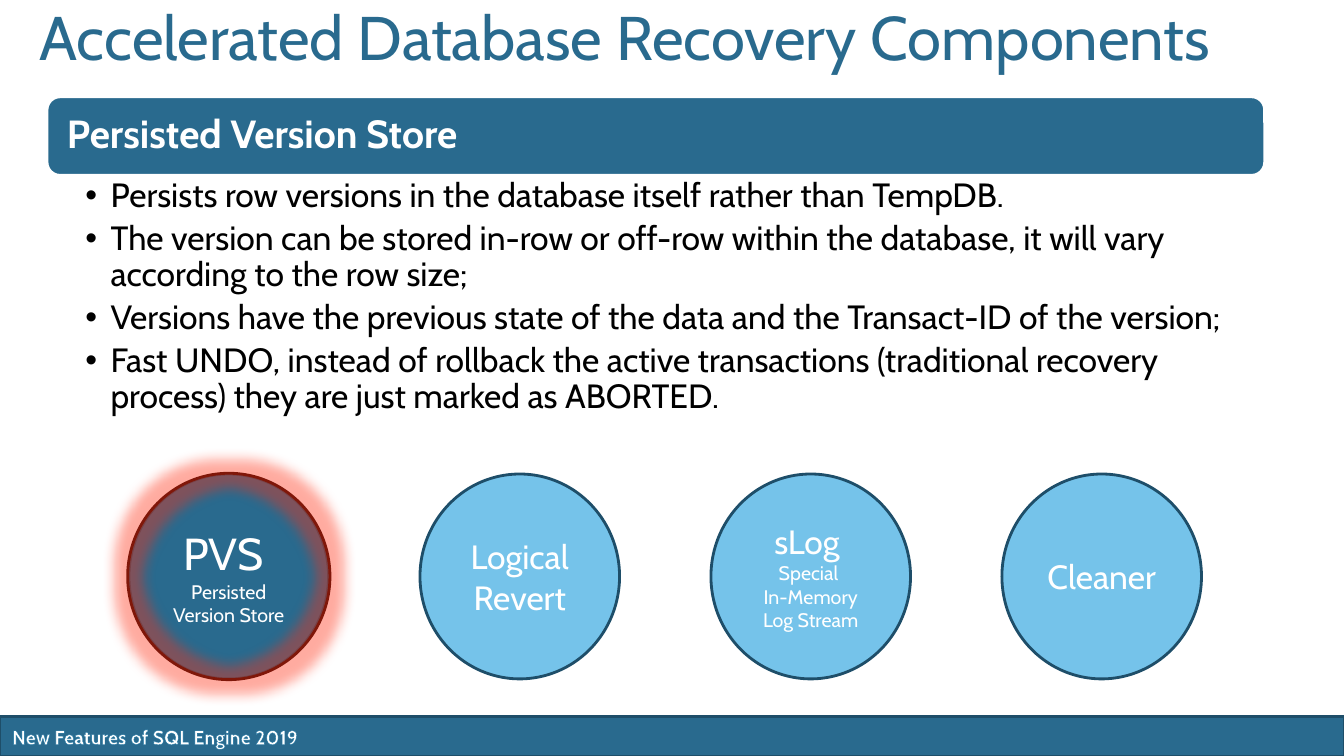
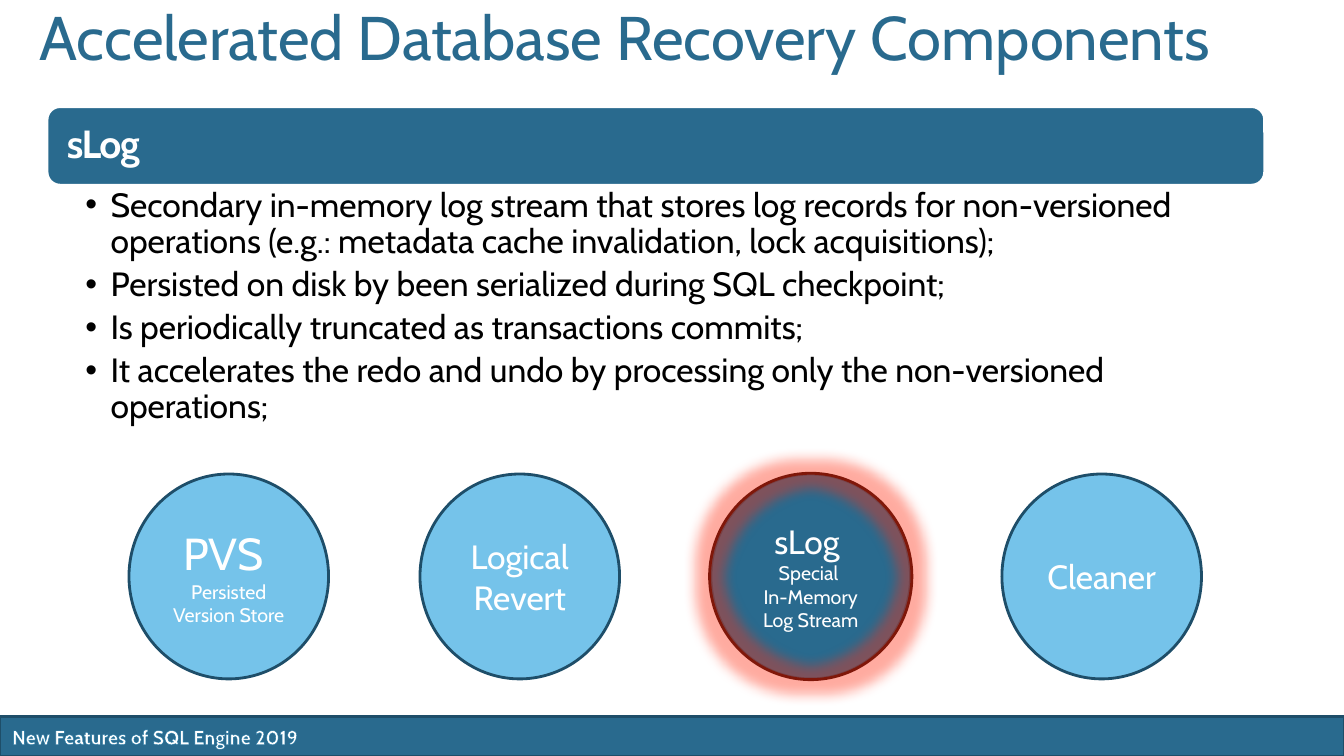
from lxml import etree
from pptx import Presentation
from pptx.dml.color import RGBColor
from pptx.enum.shapes import MSO_SHAPE as Shape
from pptx.enum.text import MSO_ANCHOR as Anchor, MSO_AUTO_SIZE as AutoSize, PP_ALIGN as Align
from pptx.oxml import parse_xml
from pptx.oxml.ns import nsdecls, qn
from pptx.util import Inches, Pt

FONT = "Cabin"
COLORS = {
    "blue": "296A8E", "edge": "1E4E69", "sky": "75C3EA", "white": "FFFFFF",
    "black": "000000", "outline": "1872A0", "ring": "801709", "glow": "FF2E12",
}
TITLE = "Accelerated Database Recovery Components"
FOOTER = "New Features of SQL Engine 2019"

# Each component: lines of text with their sizes
COMPONENTS = [
    [("PVS ", 32), ("Persisted Version Store", 14)],
    [("Logical Revert", 24)],
    [("sLog ", 24), ("Special ", 14), ("In-Memory Log Stream", 14)],
    [("Cleaner", 24)],
]

# Each topic: heading, letter spacing, heading row, active component, bullets
TOPICS = [
    ("Persisted Version Store", 0, 12.8, 0, [
        "Persists row versions in the database itself rather than TempDB.",
        "The version can be stored in-row or off-row within the database, "
        "it will vary according to the row size;",
        "Versions have the previous state of the data and the Transact-ID of the version;",
        "Fast UNDO, instead of rollback the active transactions "
        "(traditional recovery process) they are just marked as ABORTED.",
    ]),
    ("sLog", -1, 14.1, 2, [
        "Secondary in-memory log stream that stores log records for non-versioned "
        "operations (e.g.: metadata cache invalidation, lock acquisitions);",
        "Persisted on disk by been serialized during SQL checkpoint;",
        "Is periodically truncated as transactions commits;",
        "It accelerates the redo and undo by processing only the non-versioned operations;",
    ]),
]

deck = Presentation()
deck.slide_width, deck.slide_height = Inches(13.33), Inches(7.5)
# The slide is a grid of 100 columns by 100 rows
COLUMN, ROW = deck.slide_width / 100, deck.slide_height / 100


def draw(page, kind, left, top, width, height, fill=None, line="edge"):
    shape = page.shapes.add_shape(
        kind, int(left * COLUMN), int(top * ROW), int(width * COLUMN), int(height * ROW))
    shape.shadow.inherit = False
    if fill:
        shape.fill.solid()
        shape.fill.fore_color.rgb = RGBColor.from_string(COLORS[fill])
    else:
        shape.fill.background()
    shape.line.color.rgb = RGBColor.from_string(COLORS[line])
    shape.line.width = Pt(2)
    return shape


def write(shape, lines, color="white", bold=False, align=Align.LEFT, anchor=Anchor.MIDDLE,
          insets=(0.1, 0.05, 0.1, 0.05), leading=1.0, after=0, hanging=0, spacing=0):
    """Fill a shape with (text, size) lines; insets and hanging are inches."""
    frame = shape.text_frame
    frame.word_wrap, frame.auto_size, frame.vertical_anchor = True, AutoSize.NONE, anchor
    (frame.margin_left, frame.margin_top,
     frame.margin_right, frame.margin_bottom) = map(Inches, insets)
    for index, (text, size) in enumerate(lines):
        para = frame.add_paragraph() if index else frame.paragraphs[0]
        para.alignment, para.line_spacing = align, leading
        para.space_before, para.space_after = Pt(0), Pt(after)
        if hanging:
            properties = para._p.get_or_add_pPr()
            properties.set("marL", str(Inches(hanging)))
            properties.set("indent", str(-Inches(hanging)))
        span = para.add_run()
        span.text = text
        span.font.name, span.font.size, span.font.bold = FONT, Pt(size), bold
        span.font.color.rgb = RGBColor.from_string(COLORS[color])
        if spacing:
            span._r.get_or_add_rPr().set("spc", str(spacing * 100))


layout = deck.slide_layouts[1]
pages = [deck.slides.add_slide(layout) for topic in TOPICS]

# Footer band, moved to the layout that both slides share
band = draw(pages[0], Shape.RECTANGLE, 0, 94.8, 100, 5.3, fill="blue")
write(band, [(FOOTER, 14)], bold=True, insets=(0.12, 0, 0.1, 0))
for run_format in band.element.iter(qn("a:rPr")):
    run_format.insert(0, parse_xml(
        f'<a:ln {nsdecls("a")} w="10160"><a:solidFill>'
        f'<a:srgbClr val="{COLORS["outline"]}"/></a:solidFill></a:ln>'))
band.element.nvSpPr.cNvPr.set("id", "20")
layout.shapes.element.insert(2, band.element)

for page, (heading, spacing, row, active, bullets) in zip(pages, TOPICS):
    # Title and bullet list placeholders
    title, body = page.placeholders
    for holder, (left, top, width, height) in (
            (title, (2.2, 2.5, 93.2, 16.7)), (body, (3.5, row + 10.4, 90.6, 36.7))):
        holder.left, holder.top = int(left * COLUMN), int(top * ROW)
        holder.width, holder.height = int(width * COLUMN), int(height * ROW)
    write(title, [(TITLE, 44)], color="blue", anchor=Anchor.TOP, leading=Pt(35))
    write(body, [(bullet, 24) for bullet in bullets], color="black", anchor=Anchor.TOP,
          insets=(0.38, 0.03, 0.19, 0.03), leading=0.9, after=4.8, hanging=0.25)

    # Heading bar
    bar = draw(page, Shape.ROUNDED_RECTANGLE, 3.5, row, 90.6, 10.4, fill="blue", line="white")
    write(bar, [(heading, 28)], bold=True, insets=(0.16, 0.12, 0.16, 0.12),
          leading=0.9, spacing=spacing)

    # Component circles
    for index, lines in enumerate(COMPONENTS):
        circle = draw(page, Shape.OVAL, 9.6 + index * 21.65, 62.7, 14.85, 27.1,
                      fill="blue" if index == active else "sky")
        write(circle, lines, align=Align.CENTER)

    # Glowing ring around the active component
    ring = draw(page, Shape.OVAL, 9.5 + active * 21.65, 62.6, 15.05, 27.3, line="ring")
    effects = ring.element.spPr.find(qn("a:effectLst"))
    glow = etree.SubElement(effects, qn("a:glow"), rad=str(Pt(18)))
    tint = etree.SubElement(glow, qn("a:srgbClr"), val=COLORS["glow"])
    etree.SubElement(tint, qn("a:alpha"), val="40000")

deck.save("out.pptx")
